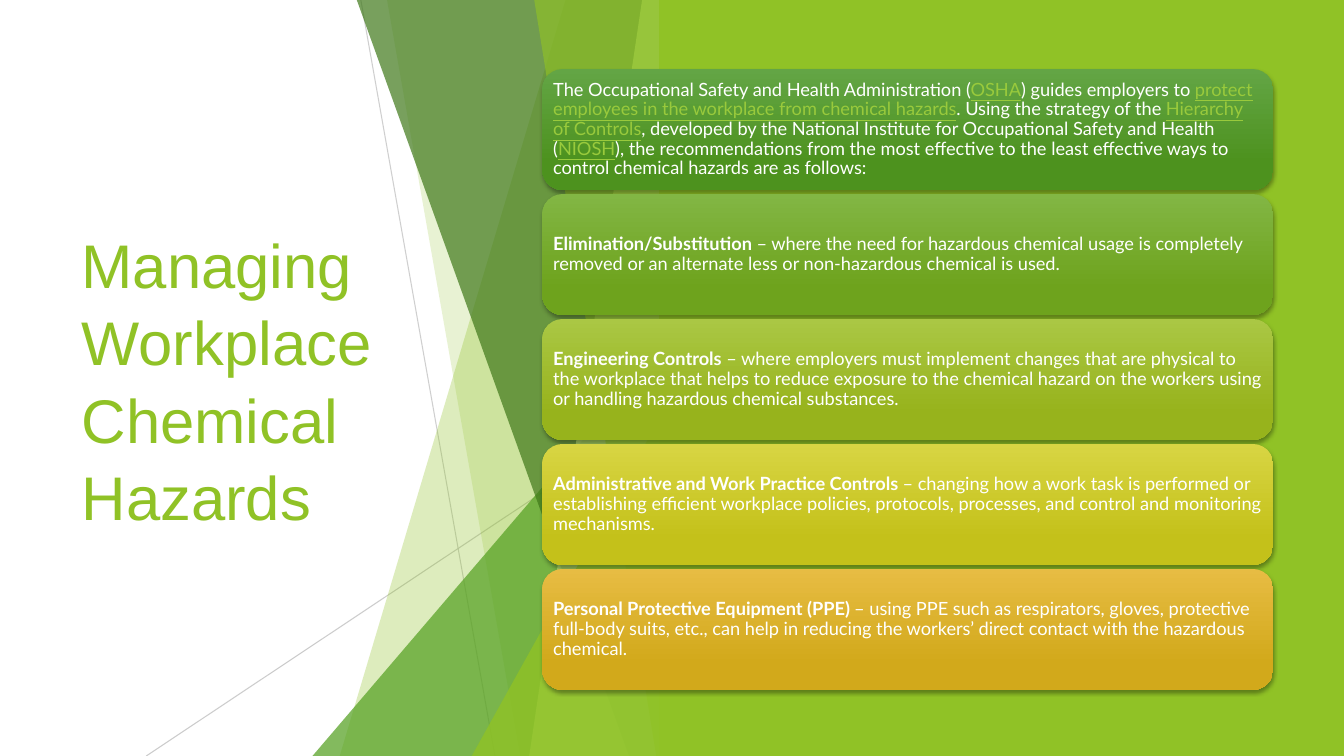
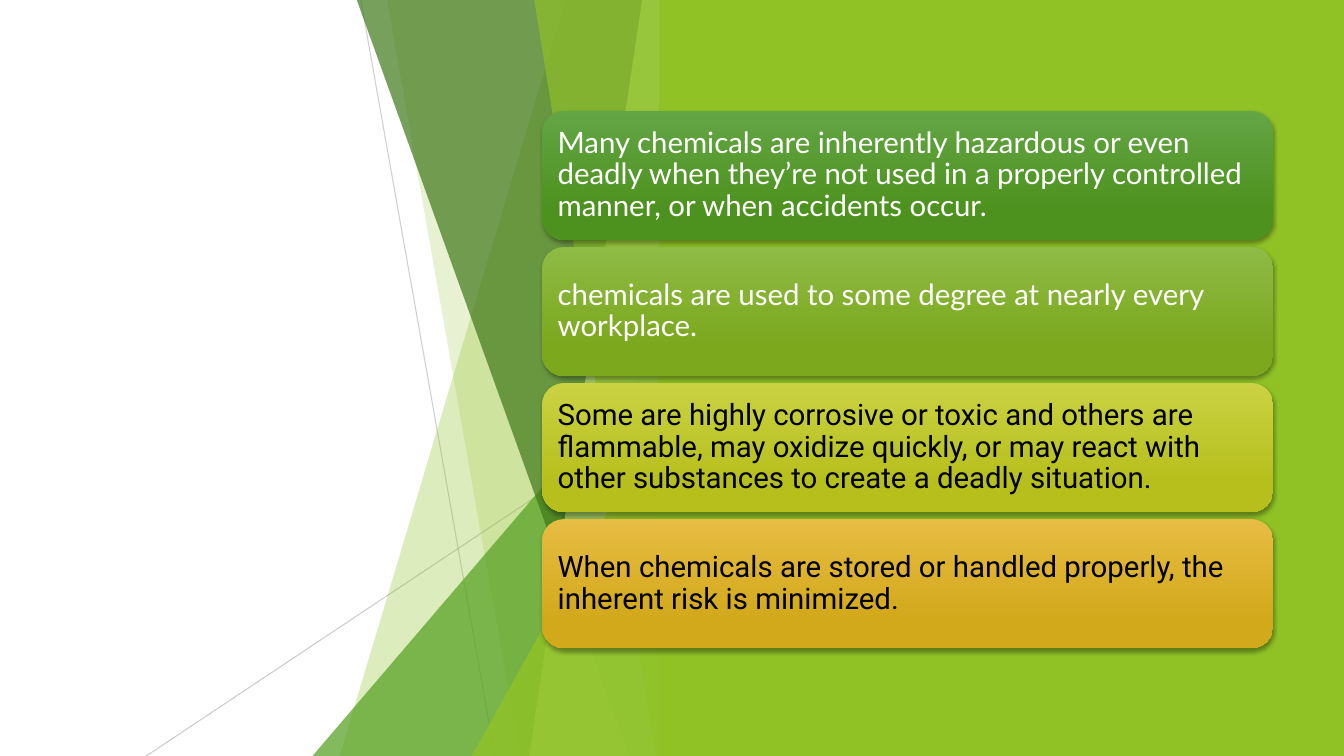
from dataclasses import dataclass
from typing import NamedTuple

from lxml import etree
from pptx import Presentation
from pptx import util as u
from pptx.dml.color import RGBColor
from pptx.enum import shapes, text
from pptx.oxml.ns import qn

W, H = u.Inches(13.33), u.Inches(7.5)

COLORS = {
    "white": "FFFFFF",
    "black": "000000",
    "lime": "90C226",
    "green": "54A021",
    "forest": "3F7819",
    "pale": "C0E474",
    "ray": "BFBFBF",
    "link": "99CA3C",
}

# Card gradients, top and bottom colour
GRADIENTS = {
    "green": ("63A545", "4D921E"),
    "leaf": ("82B644", "6EA31D"),
    "grass": ("8EBB44", "7BA81D"),
    "olive": ("AAC744", "97B31C"),
    "citron": ("CAD243", "B6BF1B"),
    "yellow": ("D8D543", "C4C11A"),
    "gold": ("E7BC43", "D2A91B"),
}

# Positions are percentages of the slide's width and height
EDGE = 50  # right edge of the facets
PANEL_X = 49.05
CARD_X, CARD_W = 40.35, 54.38
CARDS_MID = 50.2


class Ray(NamedTuple):
    x1: float
    y1: float
    x2: float
    y2: float
    opacity: int


class Facet(NamedTuple):
    """Slanted band from its left side to EDGE; a peak makes it a triangle."""
    top_x: float
    bottom_x: float
    color: str
    opacity: int
    peak: float = 0


class Span(NamedTuple):
    text: str
    style: str = ""  # "", "bold" or "link"


@dataclass
class Card:
    gradient: str
    spans: list[Span]
    font: str = "Lato"
    color: str = "white"


@dataclass
class CardStack:
    height: float
    pitch: float
    size: int
    inset: float
    cards: list[Card]


RAYS = [Ray(26.85, 0, 36.83, 100, 75), Ray(EDGE, 53.73, 10.88, 100, 80)]

FACETS = [
    Facet(42.08, 25.28, "lime", 30),
    Facet(28.8, 38.7, "lime", 20),
    Facet(EDGE, 23.25, "green", 72, peak=44.4),
    Facet(26.55, 46.8, "forest", 70),
    Facet(47.78, 39.38, "pale", 70),
    Facet(39.75, 48.83, "lime", 65),
    Facet(EDGE, 35.1, "lime", 80, peak=52.4),
]

CONTROLS = CardStack(16, 16.53, 13, 0.05, [
    Card("green", [
        Span("The Occupational Safety and Health Administration ("),
        Span("OSHA", "link"),
        Span(") guides employers to "),
        Span("protect employees in the workplace from chemical hazards", "link"),
        Span(". Using the strategy of the "),
        Span("Hierarchy of Controls", "link"),
        Span(", developed by the National Institute for Occupational Safety "
             "and Health ("),
        Span("NIOSH", "link"),
        Span("), the recommendations from the most effective to the least "
             "effective ways to control chemical hazards are as follows:"),
    ]),
    Card("leaf", [
        Span("Elimination/Substitution", "bold"),
        Span(" – where the need for hazardous chemical usage is completely "
             "removed or an alternate less or non-hazardous chemical is used."),
    ]),
    Card("olive", [
        Span("Engineering Controls", "bold"),
        Span(" – where employers must implement changes that are physical to "
             "the workplace that helps to reduce exposure to the chemical "
             "hazard on the workers using or handling hazardous chemical "
             "substances."),
    ]),
    Card("yellow", [
        Span("Administrative and Work Practice Controls", "bold"),
        Span(" – changing how a work task is performed or establishing "
             "efficient workplace policies, protocols, processes, and control "
             "and monitoring mechanisms."),
    ]),
    Card("gold", [
        Span("Personal Protective Equipment (PPE) ", "bold"),
        Span("– using PPE such as respirators, gloves, protective full-body "
             "suits, etc., can help in reducing the workers’ direct contact "
             "with the hazardous chemical."),
    ]),
])

RISKS = CardStack(17.07, 18, 21, 0.09, [
    Card("green", [Span(
        "Many chemicals are inherently hazardous or even deadly when they’re "
        "not used in a properly controlled manner, or when accidents occur.")]),
    Card("grass", [Span(
        "chemicals are used to some degree at nearly every workplace.")]),
    Card("citron", [Span(
        "Some are highly corrosive or toxic and others are flammable, may "
        "oxidize quickly, or may react with other substances to create a "
        "deadly situation.")], "Roboto", "black"),
    Card("gold", [Span(
        "When chemicals are stored or handled properly, the inherent risk is "
        "minimized.")], "Roboto", "black"),
])


def px(share: float) -> int:
    return round(W * share / 100)


def py(share: float) -> int:
    return round(H * share / 100)


def rgb(name: str) -> RGBColor:
    return RGBColor.from_string(COLORS[name])


def set_opacity(sp, percent: int) -> None:
    color = next(sp._element.spPr.iter(qn("a:srgbClr")))
    etree.SubElement(color, qn("a:alpha")).set("val", str(percent * 1000))


def paint(sp, color: str) -> None:
    sp.shadow.inherit = False
    sp.fill.solid()
    sp.fill.fore_color.rgb = rgb(color)
    sp.line.fill.background()


def add_box(s, kind, x: float, y: float, w: float, h: float):
    return s.shapes.add_shape(kind, px(x), py(y), px(w), py(h))


def add_ray(s, ray: Ray) -> None:
    sp = s.shapes.add_connector(shapes.MSO_CONNECTOR.STRAIGHT, px(ray.x1),
                                py(ray.y1), px(ray.x2), py(ray.y2))
    sp.line.color.rgb = rgb("ray")
    sp.line.width = u.Pt(0.75)
    set_opacity(sp, ray.opacity)
    etree.SubElement(sp._element.spPr, qn("a:effectLst"))


def add_facet(s, facet: Facet) -> None:
    if facet.peak:
        sp = add_box(s, shapes.MSO_SHAPE.ISOSCELES_TRIANGLE, facet.bottom_x,
                     facet.peak, EDGE - facet.bottom_x, 100 - facet.peak)
        sp.adjustments[0] = 1
    else:
        builder = s.shapes.build_freeform(px(facet.top_x), 0)
        builder.add_line_segments(
            [(px(EDGE), 0), (px(EDGE), H), (px(facet.bottom_x), H)], close=True)
        sp = builder.convert_to_shape()
    paint(sp, facet.color)
    set_opacity(sp, facet.opacity)


def add_shadow(sp) -> None:
    sp.shadow.inherit = False
    effects = sp._element.spPr.find(qn("a:effectLst"))
    shadow = etree.SubElement(effects, qn("a:outerShdw"), {
        "blurRad": str(u.Pt(3)), "dist": str(u.Pt(2)), "dir": "5400000",
        "algn": "ctr", "rotWithShape": "0"})
    etree.SubElement(shadow, qn("a:srgbClr")).set("val", COLORS["black"])
    set_opacity_on = shadow[0]
    etree.SubElement(set_opacity_on, qn("a:alpha")).set("val", "35000")


def add_card(s, card: Card, stack: CardStack, y: float) -> None:
    sp = add_box(s, shapes.MSO_SHAPE.ROUNDED_RECTANGLE,
                 CARD_X, y, CARD_W, stack.height)
    sp.line.fill.background()
    sp.fill.gradient()
    sp.fill.gradient_angle = 270
    for stop, position, color in zip(sp.fill.gradient_stops, (0, 0.78),
                                     GRADIENTS[card.gradient]):
        stop.position = position
        stop.color.rgb = RGBColor.from_string(color)
    add_shadow(sp)

    tf = sp.text_frame
    tf.word_wrap = True
    tf.vertical_anchor = text.MSO_ANCHOR.MIDDLE
    tf.margin_left = tf.margin_right = u.Inches(stack.inset)
    tf.margin_top = tf.margin_bottom = u.Inches(stack.inset)
    p = tf.paragraphs[0]
    p.alignment = text.PP_ALIGN.LEFT
    p.line_spacing = 0.9
    for span in card.spans:
        r = p.add_run()
        r.text = span.text
        r.font.name = card.font
        r.font.size = u.Pt(stack.size)
        r.font.bold = span.style == "bold"
        r.font.underline = span.style == "link"
        r.font.color.rgb = rgb("link" if span.style == "link" else card.color)


def add_stack(s, stack: CardStack) -> None:
    total = stack.pitch * (len(stack.cards) - 1) + stack.height
    for row, card in enumerate(stack.cards):
        add_card(s, card, stack, CARDS_MID - total / 2 + row * stack.pitch)


def add_title(s, title: str) -> None:
    sp = s.shapes.add_textbox(px(5.33), py(20.13), px(29.1), py(59.73))
    tf = sp.text_frame
    tf.word_wrap = True
    tf.vertical_anchor = text.MSO_ANCHOR.MIDDLE
    tf.text = title
    p = tf.paragraphs[0]
    p.line_spacing = 1.05
    r = p.runs[0]
    r.font.name = "Arial"
    r.font.size = u.Pt(44)
    r.font.color.rgb = rgb("lime")


def add_slide(prs, stack: CardStack, title: str = "") -> None:
    s = prs.slides.add_slide(prs.slide_layouts[6])
    if title:
        add_title(s, title)
    # Faceted backdrop
    for ray in RAYS:
        add_ray(s, ray)
    for facet in FACETS:
        add_facet(s, facet)
    panel = add_box(s, shapes.MSO_SHAPE.RECTANGLE, PANEL_X, 0, 100 - PANEL_X, 100)
    paint(panel, "lime")
    # Cards
    add_stack(s, stack)


def main() -> None:
    prs = Presentation()
    prs.slide_width, prs.slide_height = W, H
    add_slide(prs, CONTROLS, "Managing Workplace Chemical Hazards")
    add_slide(prs, RISKS)
    prs.save("out.pptx")


if __name__ == "__main__":
    main()
